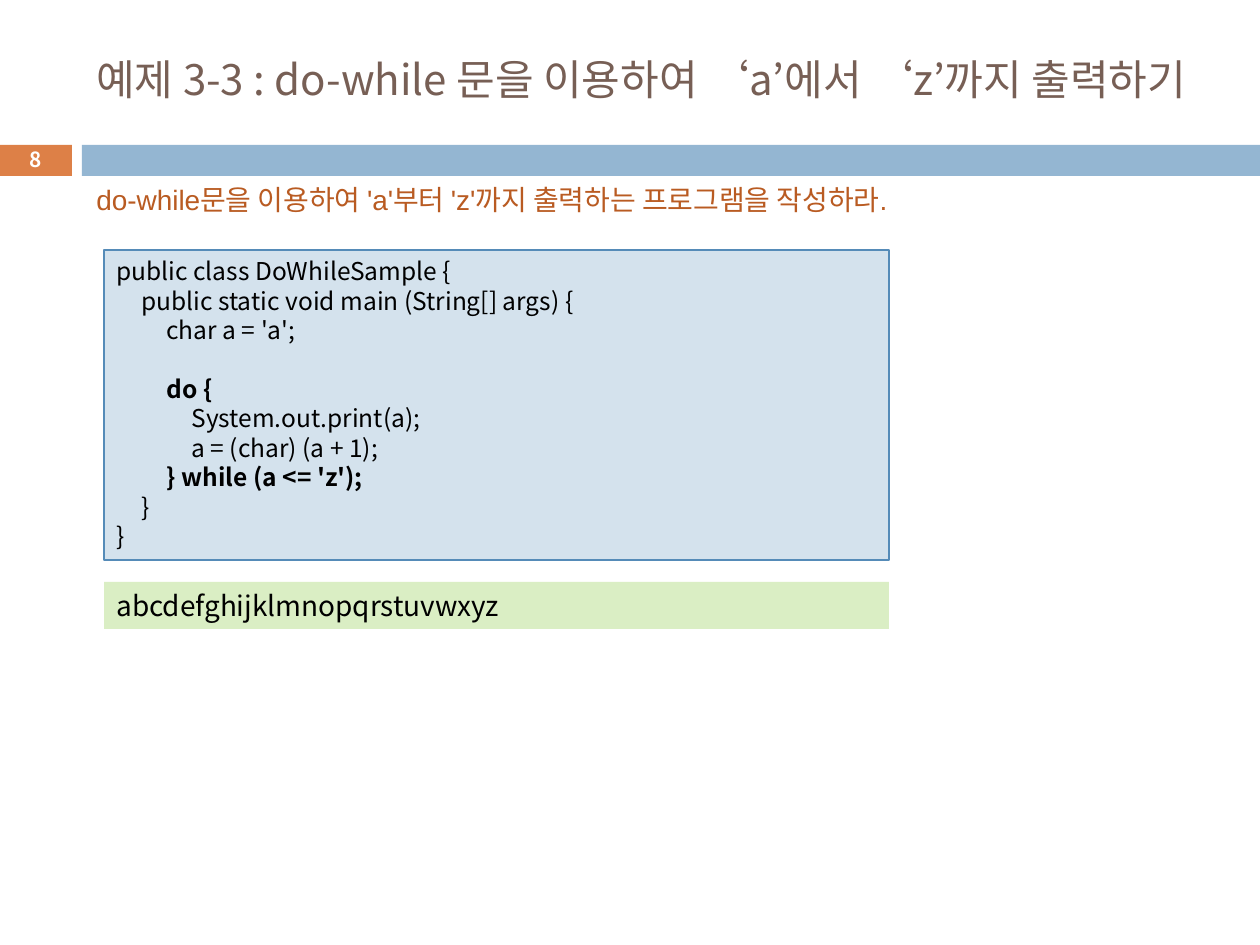
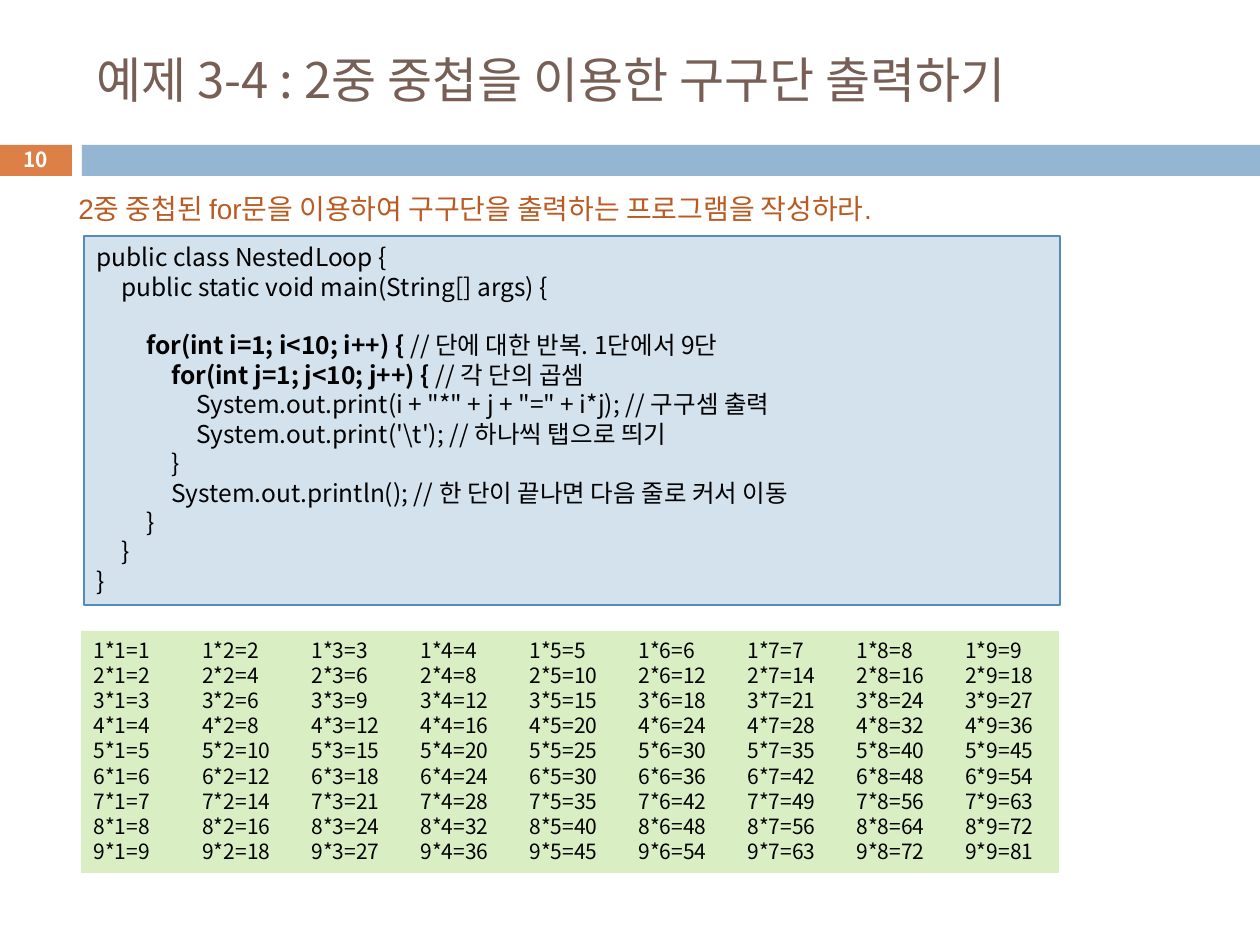
from lxml import etree
from pptx import Presentation
from pptx import util as u
from pptx.dml.color import RGBColor
from pptx.enum import shapes, text
from pptx.oxml.ns import qn

PX = 914400 / 126
KOREAN = "Noto Sans CJK KR"
ORANGE, BLUE, BROWN, RUST = "DD8047", "94B6D2", "775F55", "B95B22"
CODE_FILL, CODE_LINE, OUTPUT_FILL = "D4E2ED", "558BB8", "DAEEC4"


def color(value):
    return RGBColor.from_string(value)


def put(slide, box, content="", size=14, font=KOREAN, ink="000000", bold=False,
        fill=None, line=None, tab=None, align=text.PP_ALIGN.LEFT,
        anchor=text.MSO_ANCHOR.TOP):
    """Place text, one paragraph per line; ** switches bold on and off."""
    place = [round(n * PX) for n in box]
    if fill:
        item = slide.shapes.add_shape(shapes.MSO_SHAPE.RECTANGLE, *place)
        item.shadow.inherit = False
        item.fill.solid()
        item.fill.fore_color.rgb = color(fill)
        if line:
            item.line.color.rgb = color(line)
            item.line.width = u.Pt(0.75)
        else:
            item.line.fill.background()
    else:
        item = slide.shapes.add_textbox(*place)
    frame = item.text_frame
    frame.word_wrap = True
    frame.vertical_anchor = anchor
    for i, row in enumerate(content.split("\n")):
        paragraph = frame.add_paragraph() if i else frame.paragraphs[0]
        paragraph.alignment = align
        if tab:
            stops = etree.SubElement(paragraph._p.get_or_add_pPr(), qn("a:tabLst"))
            for n in range(1, 9):
                etree.SubElement(stops, qn("a:tab"), pos=str(round(n * tab * PX)), algn="l")
        paragraph.font.size = u.Pt(size)
        for k, part in enumerate(row.split("**") if tab == CODE_TAB else [row]):
            if part:
                run = paragraph.add_run()
                run.text = part
                run.font.size = u.Pt(size)
                run.font.bold = bold or k % 2 == 1
                run.font.color.rgb = color(ink)
                run.font.name = font
                for tag in ("a:ea", "a:cs"):
                    etree.SubElement(run._r.get_or_add_rPr(), qn(tag), typeface=KOREAN)


CODE_TAB, TABLE_TAB = 25, 109

do_while_code = """public class DoWhileSample {
\tpublic static void main (String[] args) {
\t\tchar a = 'a';

\t\t**do {**
\t\t\tSystem.out.print(a);
\t\t\ta = (char) (a + 1);
\t\t**} while (a <= 'z');**
\t}
}"""

nested_code = r"""public class NestedLoop {
	public static void main(String[] args) {

		**for(int i=1; i<10; i++) { **// 단에 대한 반복. 1단에서 9단
			**for(int j=1; j<10; j++) { **// 각 단의 곱셈
				System.out.print(i + "*" + j + "=" + i*j); // 구구셈 출력
				System.out.print('\t'); // 하나씩 탭으로 띄기
			}
			System.out.println(); // 한 단이 끝나면 다음 줄로 커서 이동
		}
	}
}"""

times_table = "\n".join(
    "\t".join(f"{i}*{j}={i * j}" for j in range(1, 10)) for i in range(1, 10))

examples = [
    dict(number="8", title="예제 3-3 : do-while 문을 이용하여 ‘a’에서 ‘z’까지 출력하기",
         title_size=24, title_width=1150,
         task="do-while문을 이용하여 'a'부터 'z'까지 출력하는 프로그램을 작성하라.",
         task_box=(84, 176, 908, 47),
         code=do_while_code, code_box=(104, 250, 785, 310),
         output="abcdefghijklmnopqrstuvwxyz", output_size=16,
         output_box=(104, 582, 785, 47)),
    dict(number="10", title="예제 3-4 : 2중 중첩을 이용한 구구단 출력하기",
         title_size=28, title_width=1124,
         task="2중 중첩된 for문을 이용하여 구구단을 출력하는 프로그램을 작성하라.",
         task_box=(66, 185, 916, 47),
         code=nested_code, code_box=(84, 236, 976, 369),
         output=times_table, output_size=12,
         output_box=(81, 631, 978, 242)),
]

deck = Presentation()
deck.slide_width, deck.slide_height = u.Inches(10), u.Inches(7.5)

for example in examples:
    slide = deck.slides.add_slide(deck.slide_layouts[6])
    # Shared bands and title
    put(slide, (-1, 145, 73, 31), fill=ORANGE)
    put(slide, (82, 145, 1178, 31), fill=BLUE)
    put(slide, (84, 32, example["title_width"], 93), example["title"],
        size=example["title_size"], ink=BROWN, anchor=text.MSO_ANCHOR.MIDDLE)
    # Program, task and printed result
    put(slide, example["code_box"], example["code"], fill=CODE_FILL,
        line=CODE_LINE, tab=CODE_TAB)
    put(slide, example["task_box"], example["task"], size=16, font="Arial", ink=RUST)
    put(slide, example["output_box"], example["output"],
        size=example["output_size"], fill=OUTPUT_FILL, tab=TABLE_TAB)
    # Slide number
    put(slide, (-1, 142, 73, 34), example["number"], size=11.9, ink="FFFFFF", bold=True,
        align=text.PP_ALIGN.CENTER, anchor=text.MSO_ANCHOR.MIDDLE)

deck.save("out.pptx")
